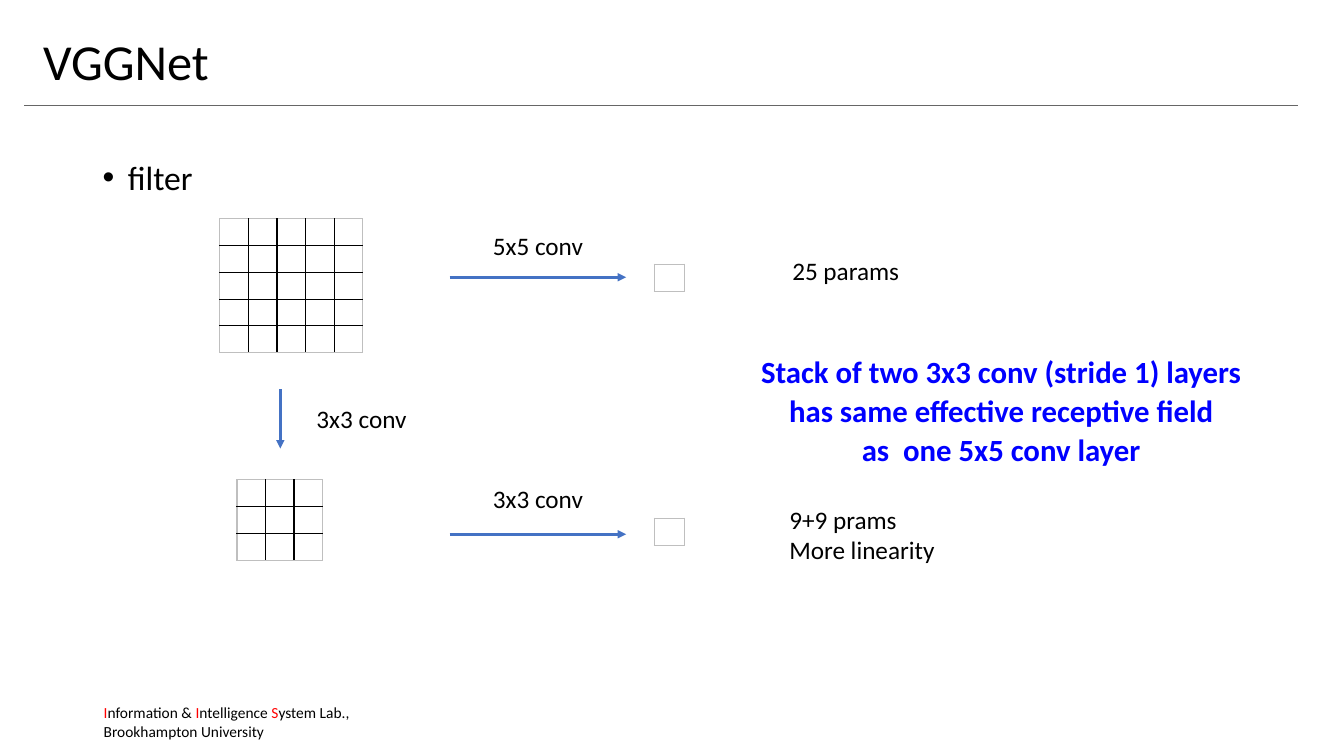
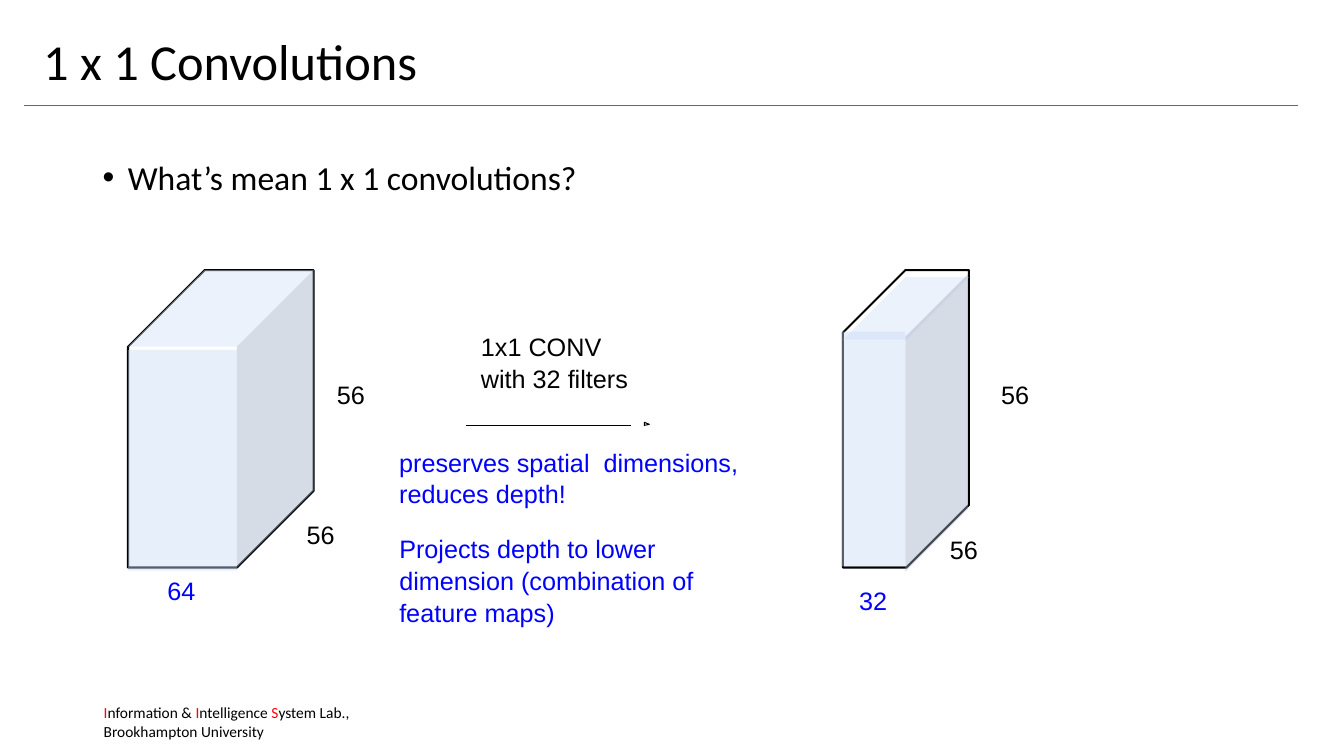
from lxml import etree
from pptx import Presentation
from pptx.dml.color import RGBColor
from pptx.enum.shapes import MSO_CONNECTOR
from pptx.enum.text import MSO_ANCHOR, PP_ALIGN
from pptx.oxml.ns import qn
from pptx.util import Pt

STRAIGHT = MSO_CONNECTOR.STRAIGHT
MIDDLE, TOP = MSO_ANCHOR.MIDDLE, MSO_ANCHOR.TOP
LEFT, CENTER = PP_ALIGN.LEFT, PP_ALIGN.CENTER

PX = 9144  # EMU per px, 100 px to the inch
BLANK_LAYOUT = 6
BODY_FONT, FIGURE_FONT = "Calibri", "Arial"
BODY_INSETS, FIGURE_INSETS = (10, 5, 10, 5), (0, 1, 0, 0)
COLOURS = {
    "text": "000000",
    "rule": "666666",
    "arrow": "4472C4",
    "accent": "0000FF",
    "initial": "FF0000",
    "grid": "000000",
    "frame": "BFBFBF",
    "top": "D3E1F9",
    "side": "A0AEC6",
    "front": "C9DAF8",
}


def rgb(name):
    return RGBColor.from_string(COLOURS[name])


def add_child(parent, tag, **attributes):
    return etree.SubElement(parent, qn(tag), **attributes)


# Text
def style_font(font, size, colour="text", name=BODY_FONT, bold=False):
    font.size, font.name, font.bold = Pt(size), name, bold
    font.color.rgb = rgb(colour)


def add_text(page, left, top, width, height, lines, size=18, colour="text",
             name=BODY_FONT, bold=False, align=LEFT, anchor=TOP, wrap=True,
             insets=BODY_INSETS, line_spacing=None, before=0):
    box = page.shapes.add_textbox(left * PX, top * PX, width * PX, height * PX)
    frame = box.text_frame
    frame.word_wrap, frame.vertical_anchor = wrap, anchor
    (frame.margin_left, frame.margin_top,
     frame.margin_right, frame.margin_bottom) = (inset * PX for inset in insets)
    frame.text = "\n".join(lines)
    for para in frame.paragraphs:
        para.alignment, para.space_before = align, Pt(before)
        if line_spacing:
            para.line_spacing = line_spacing
        for span in para.runs:
            style_font(span.font, size, colour, name, bold)
    return box


def add_label(page, left, top, width, height, *lines):
    add_text(page, left, top, width, height, lines, wrap=False)


def add_figure_text(page, left, top, width, height, *lines, colour="text",
                    line_spacing=None):
    add_text(page, left, top, width, height, lines, colour=colour,
             name=FIGURE_FONT, insets=FIGURE_INSETS,
             line_spacing=line_spacing, before=1)


def add_bullet(page, line):
    box = add_text(page, 92, 155, 1150, 520, [line], 24,
                   line_spacing=0.9, before=10)
    properties = box.text_frame.paragraphs[0]._p.get_or_add_pPr()
    properties.set("marL", str(25 * PX))
    properties.set("indent", str(-25 * PX))
    add_child(properties, "a:buFont", typeface="Arial")
    add_child(properties, "a:buChar", char="•")


# Lines and outlines
def add_line(page, start, end, colour, weight, arrow=False):
    line = page.shapes.add_connector(
        STRAIGHT, *(value * PX for value in (*start, *end)))
    line.line.color.rgb, line.line.width = rgb(colour), Pt(weight)
    if arrow:
        add_child(line.line._get_or_add_ln(), "a:tailEnd", type="triangle")
    add_child(line._element.spPr, "a:effectLst")


def add_polygon(page, points, fill=None, weight=None):
    builder = page.shapes.build_freeform(*points[0], scale=PX)
    builder.add_line_segments(points[1:], close=True)
    shape = builder.convert_to_shape()
    shape.shadow.inherit = False
    if fill:
        shape.fill.solid()
        shape.fill.fore_color.rgb = rgb(fill)
        solid = shape._element.spPr.find(qn("a:solidFill"))
        add_child(solid[0], "a:alpha", val="43000")
    else:
        shape.fill.background()
    if weight:
        shape.line.color.rgb, shape.line.width = rgb("text"), Pt(weight)
    else:
        shape.line.fill.background()


def add_prism(page, left, top, width, depth, height, shifts):
    """Outline a block and tint its faces, each moved by its own shift."""
    right, back_left = left + width, left + depth
    back_right, shoulder = right + depth, top + depth
    bottom = shoulder + height
    back_bottom = bottom - depth
    add_polygon(page, [(left, shoulder), (back_left, top), (back_right, top),
                       (back_right, back_bottom), (right, bottom),
                       (left, bottom)], weight=1.5)
    faces = {
        "top": [(back_right, top), (back_left, top),
                (left, shoulder), (right, shoulder)],
        "side": [(back_right, top), (right, shoulder),
                 (right, bottom), (back_right, back_bottom)],
        "front": [(left, shoulder), (right, shoulder),
                  (right, bottom), (left, bottom)],
    }
    for name, points in faces.items():
        across, down = shifts.get(name, (0, 0))
        add_polygon(page, [(x + across, y + down) for x, y in points], name)


# Filter grids
def add_border(properties, tag, outer):
    line = add_child(properties, tag, w=str(Pt(1)))
    solid = add_child(line, "a:solidFill")
    add_child(solid, "a:srgbClr", val=COLOURS["frame" if outer else "grid"])


def add_grid(page, left, top, count, width, height):
    table = page.shapes.add_table(count, count, left * PX, top * PX,
                                  width * PX, height * PX).table
    table.first_row = table.horz_banding = False
    last = count - 1
    for row in range(count):
        for column in range(count):
            cell = table.cell(row, column)
            cell.margin_left = cell.margin_right = 0
            cell.margin_top = cell.margin_bottom = 0
            add_child(cell.text_frame.paragraphs[0]._p, "a:endParaRPr",
                      sz="800")
            properties = cell._tc.get_or_add_tcPr()
            for tag, outer in (("a:lnL", column == 0), ("a:lnR", column == last),
                               ("a:lnT", row == 0), ("a:lnB", row == last)):
                add_border(properties, tag, outer)
            cell.fill.background()


# Shared page frame
def add_footer(page):
    box = add_text(page, 93, 693, 266, 47, ["", "Brookhampton University"], 11)
    para = box.text_frame.paragraphs[0]
    for initial, rest in (("I", "nformation & "), ("I", "ntelligence "),
                          ("S", "ystem Lab.,")):
        for text, colour in ((initial, "initial"), (rest, "text")):
            span = para.add_run()
            span.text = text
            style_font(span.font, 11, colour)


def add_page(deck, title, bullet):
    page = deck.slides.add_slide(deck.slide_layouts[BLANK_LAYOUT])
    add_footer(page)
    add_line(page, (24, 105), (1287, 105), "rule", 0.75)
    add_bullet(page, bullet)
    add_text(page, 33, 23, 1300, 81, [title], 36, anchor=MIDDLE,
             line_spacing=0.9)
    return page


def build_filter_page(deck):
    page = add_page(deck, "VGGNet", "filter")
    # Grids before and after each convolution
    add_grid(page, 218, 217, 5, 142, 133)
    add_grid(page, 235, 476, 3, 85, 80)
    for top in (262, 514):
        add_grid(page, 649, top, 1, 30, 27)
    # Convolution steps
    for start, end in (((446, 275), (621, 275)), ((278, 386), (278, 445)),
                       ((446, 530), (621, 530))):
        add_line(page, start, end, "arrow", 2, arrow=True)
    for left, top, line in ((479, 224, "5x5 conv"), (304, 395, "3x3 conv"),
                            (479, 475, "3x3 conv")):
        add_label(page, left, top, 111, 40, line)
    # Parameter counts and conclusion
    add_label(page, 776, 248, 127, 40, "25 params")
    add_label(page, 773, 495, 166, 71, "9+9 prams", "More linearity")
    add_text(page, 718, 345, 550, 125,
             ["Stack of two 3x3 conv (stride 1) layers",
              "has same effective receptive field",
              "as  one 5x5 conv layer"],
             22, "accent", bold=True, align=CENTER, line_spacing=1.01, before=1)


def build_convolution_page(deck):
    page = add_page(deck, "1 x 1 Convolutions",
                    "What’s mean 1 x 1 convolutions?")
    # Input and output volumes
    add_prism(page, 127, 268, 108, 76, 219, {"front": (0, 3)})
    add_prism(page, 836, 268, 63, 62, 233,
              {"top": (0, 7), "side": (-1, 4), "front": (-1, -1)})
    for left, top, size, colour in (
            (334, 375, "56", "text"), (304, 514, "56", "text"),
            (166, 570, "64", "accent"), (993, 375, "56", "text"),
            (942, 529, "56", "text"), (852, 580, "32", "accent")):
        add_figure_text(page, left, top, 31, 33, size, colour=colour)
    # Operation between the volumes
    add_figure_text(page, 477, 328, 149, 63, "1x1 CONV", "with 32 filters")
    add_line(page, (462, 422), (626, 422), "text", 0.75)
    add_polygon(page, [(639, 422), (644, 421), (639, 419)], weight=0.75)
    # Effect of the operation
    add_figure_text(page, 396, 443, 343, 60,
                    "preserves spatial  dimensions, reduces depth!",
                    colour="accent", line_spacing=1.01)
    add_figure_text(page, 396, 528, 338, 93, "Projects depth to lower",
                    "dimension (combination of", "feature maps)",
                    colour="accent", line_spacing=1.01)


def main():
    deck = Presentation()
    deck.slide_width, deck.slide_height = 1333 * PX, 750 * PX
    build_filter_page(deck)
    build_convolution_page(deck)
    deck.save("out.pptx")


if __name__ == "__main__":
    main()
